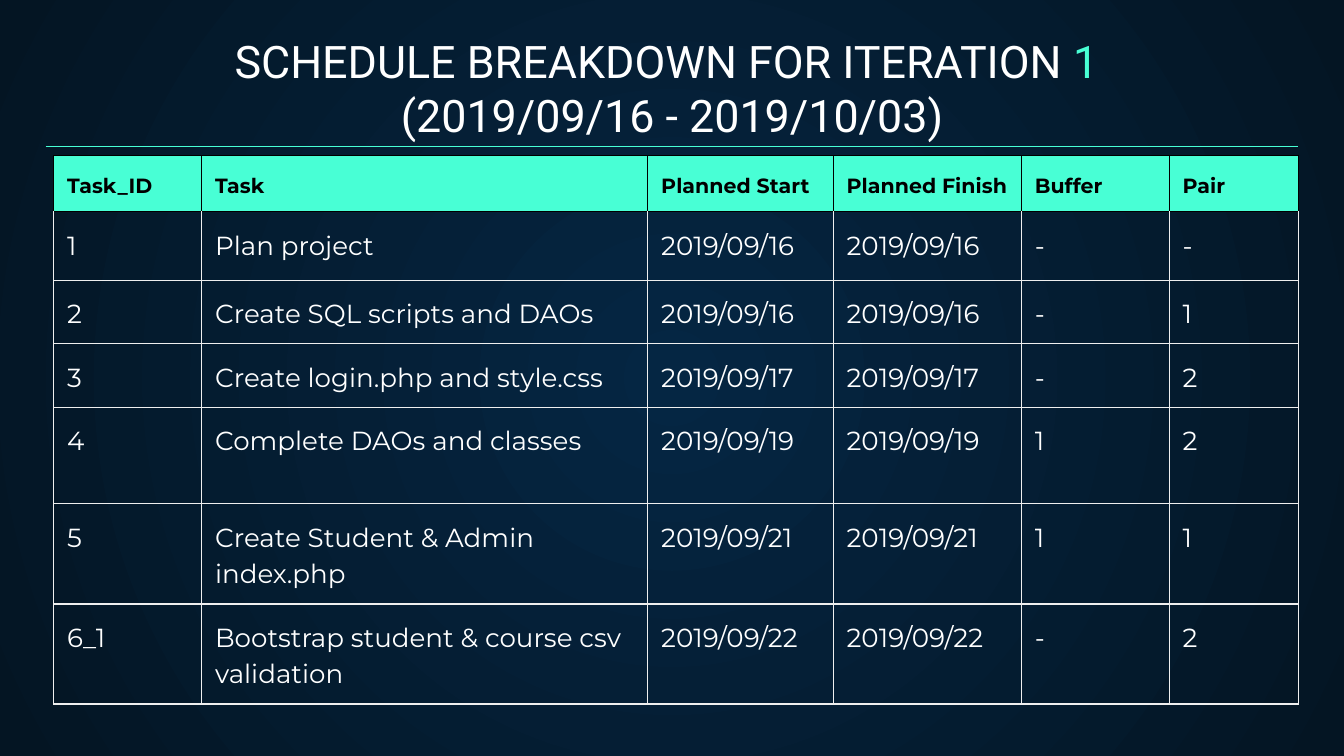
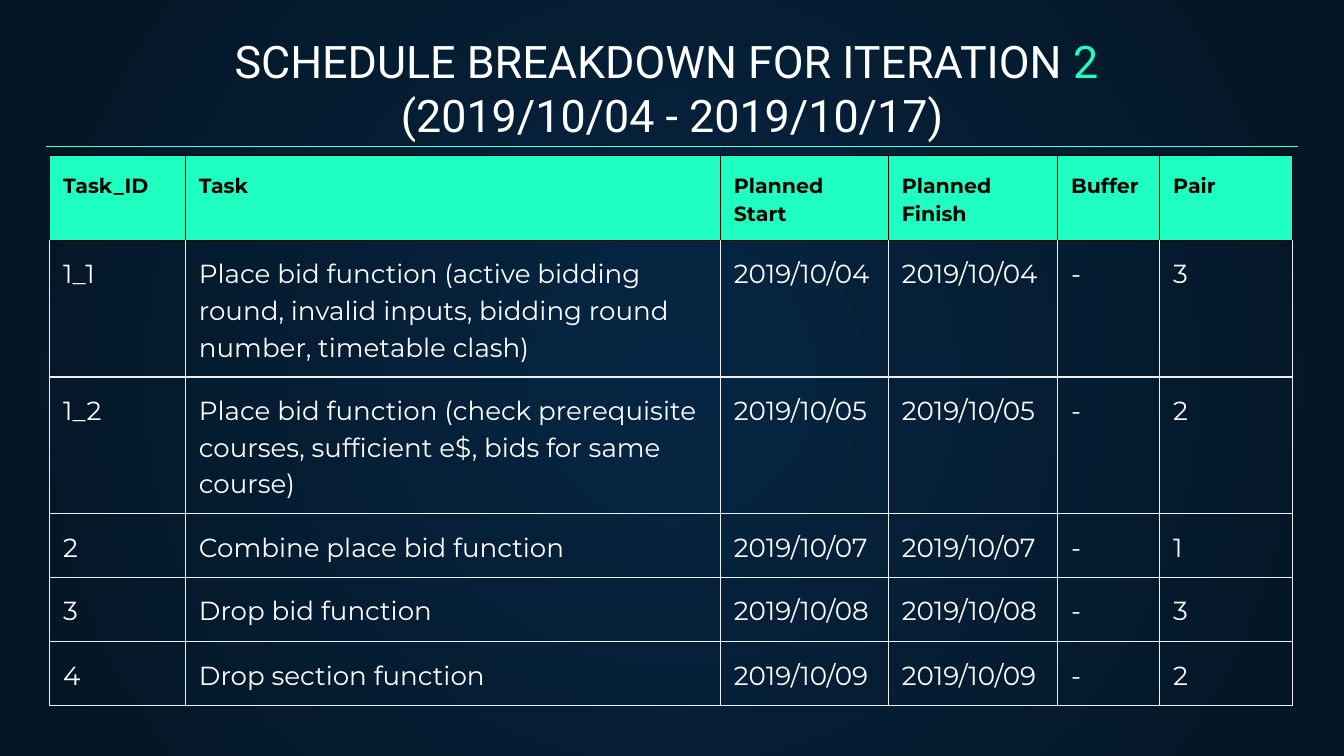
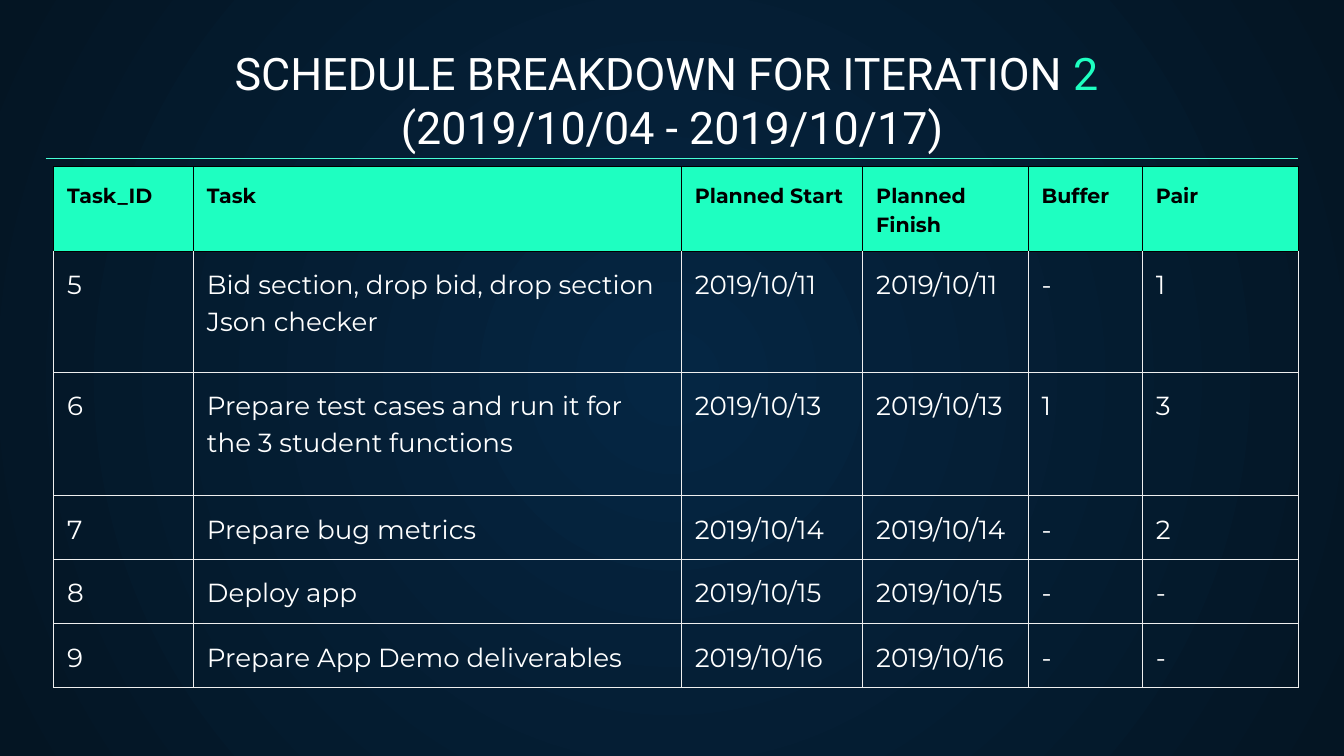
import pptx
import pptx.dml.color
import pptx.enum.shapes
import pptx.enum.text
import pptx.oxml
import pptx.oxml.ns
import pptx.util
import lxml.etree

Inches = pptx.util.Inches
Pt = pptx.util.Pt
RGBColor = pptx.dml.color.RGBColor
qn = pptx.oxml.ns.qn

WHITE = RGBColor(0xFF, 0xFF, 0xFF)
BLACK = RGBColor(0, 0, 0)
GRID = RGBColor(0xEF, 0xEF, 0xEF)
AQUA = RGBColor(0x48, 0xFF, 0xD5)
GREEN = RGBColor(0x1E, 0xFF, 0xC1)
NAVY = RGBColor(0x05, 0x26, 0x43)
DARK_NAVY = RGBColor(0x04, 0x15, 0x23)

HEADINGS = ["Task_ID", "Task", "Planned Start", "Planned Finish", "Buffer", "Pair"]

# Each task: id, task, planned day (start and finish), buffer, pair
SCHEDULES = [
    {
        "iteration": "1", "dates": "(2019/09/16 - 2019/10/03)", "accent": AQUA,
        "title_top": 0.49, "table_at": (0.4, 1.16), "table_height": 3.97,
        "columns": [1.1, 3.32, 1.38, 1.4, 1.1, 0.96],
        "rows": [0.39, 0.51, 0.45, 0.45, 0.72, 0.45, 0.45],
        "tasks": [
            ("1", "Plan project", "2019/09/16", "-", "-"),
            ("2", "Create SQL scripts and DAOs", "2019/09/16", "-", "1"),
            ("3", "Create login.php and style.css", "2019/09/17", "-", "2"),
            ("4", "Complete DAOs and classes", "2019/09/19", "1", "2"),
            ("5", "Create Student & Admin index.php", "2019/09/21", "1", "1"),
            ("6_1", "Bootstrap student & course csv validation", "2019/09/22", "-", "2"),
        ],
    },
    {
        "iteration": "2", "dates": "(2019/10/04 - 2019/10/17)", "accent": GREEN,
        "title_top": 0.49, "table_at": (0.37, 1.16), "table_height": 3.97,
        "columns": [1.01, 3.98, 1.25, 1.26, 0.76, 0.99],
        "rows": [0.46, 0.9, 0.92, 0.45, 0.48, 0.45],
        "tasks": [
            ("1_1", "Place bid function (active bidding round, invalid inputs, "
                    "bidding round number, timetable clash)", "2019/10/04", "-", "3"),
            ("1_2", "Place bid function (check prerequisite courses, "
                    "sufficient e$, bids for same course)", "2019/10/05", "-", "2"),
            ("2", "Combine place bid function", "2019/10/07", "-", "1"),
            ("3", "Drop bid function", "2019/10/08", "-", "3"),
            ("4", "Drop section function", "2019/10/09", "-", "2"),
        ],
    },
    {
        "iteration": "2", "dates": "(2019/10/04 - 2019/10/17)", "accent": GREEN,
        "title_top": 0.58, "table_at": (0.4, 1.24), "table_height": 3.81,
        "columns": [1.04, 3.63, 1.35, 1.23, 0.85, 1.16],
        "rows": [0.39, 0.9, 0.92, 0.45, 0.48, 0.45],
        "tasks": [
            ("5", "Bid section, drop bid, drop section Json checker", "2019/10/11", "-", "1"),
            ("6", "Prepare test cases and run it for the 3 student functions",
             "2019/10/13", "1", "3"),
            ("7", "Prepare bug metrics", "2019/10/14", "-", "2"),
            ("8", "Deploy app", "2019/10/15", "-", "-"),
            ("9", "Prepare App Demo deliverables", "2019/10/16", "-", "-"),
        ],
    },
]


def set_borders(cell, color, top_color):
    """Draw all four cell borders; they must precede the fill in the XML."""
    properties = cell._tc.get_or_add_tcPr()
    sides = [("lnL", color), ("lnR", color), ("lnT", top_color), ("lnB", color)]
    for position, (side, side_color) in enumerate(sides):
        border = pptx.oxml.parse_xml(
            f'<a:{side} {pptx.oxml.ns.nsdecls("a")} w="{Pt(0.75)}">'
            f'<a:solidFill><a:srgbClr val="{side_color}"/></a:solidFill></a:{side}>')
        properties.insert(position, border)


def style_font(font, name, size, color, bold=False):
    font.name = name
    font.size = Pt(size)
    font.color.rgb = color
    font.bold = bold


deck = pptx.Presentation()
deck.slide_width = Inches(10)
deck.slide_height = Inches(10) * 9 // 16

# The master carries the radial background for every slide
background = deck.slide_master.background.fill
background.gradient()
for stop, color in zip(background.gradient_stops, (NAVY, DARK_NAVY)):
    stop.color.rgb = color
linear = next(deck.slide_master.element.iter(qn("a:lin")))
radial = pptx.oxml.parse_xml(
    f'<a:path {pptx.oxml.ns.nsdecls("a")} path="circle">'
    '<a:fillToRect l="50000" t="50000" r="50000" b="50000"/></a:path>')
linear.getparent().replace(linear, radial)

title_only = deck.slide_layouts.get_by_name("Title Only")

for schedule in SCHEDULES:
    page = deck.slides.add_slide(title_only)

    title = page.shapes.title
    title.left, title.top = Inches(0.34), Inches(schedule["title_top"])
    title.width, title.height = Inches(9.32), Inches(0.66)
    frame = title.text_frame
    frame.word_wrap = True
    frame.auto_size = pptx.enum.text.MSO_AUTO_SIZE.NONE
    frame.vertical_anchor = pptx.enum.text.MSO_ANCHOR.BOTTOM
    frame.margin_left = frame.margin_right = Inches(0.1)
    frame.margin_top = frame.margin_bottom = Inches(0.1)
    para = frame.paragraphs[0]
    para.alignment = pptx.enum.text.PP_ALIGN.CENTER
    for text, color in [("SCHEDULE BREAKDOWN FOR ITERATION ", WHITE),
                        (schedule["iteration"] + " ", schedule["accent"]),
                        (schedule["dates"], WHITE)]:
        if text == schedule["dates"]:
            para.add_line_break()
        span = para.add_run()
        span.text = text
        style_font(span.font, "Roboto", 24, color)

    rule_top = Inches(schedule["title_top"] + 0.6)
    rule = page.shapes.add_connector(
        pptx.enum.shapes.MSO_CONNECTOR.STRAIGHT,
        Inches(0.34), rule_top, Inches(9.66), rule_top)
    rule.line.color.rgb = AQUA
    rule.line.width = Pt(0.75)
    lxml.etree.SubElement(rule._element.spPr, qn("a:effectLst"))

    left, top = schedule["table_at"]
    table_shape = page.shapes.add_table(
        len(schedule["rows"]), len(HEADINGS), Inches(left), Inches(top),
        Inches(9.26), Inches(schedule["table_height"]))
    table = table_shape.table
    table.first_row = table.horz_banding = False
    for column, width in zip(table.columns, schedule["columns"]):
        column.width = Inches(width)
    for row, height in zip(table.rows, schedule["rows"]):
        row.height = Inches(height)
    table_shape.width = Inches(9.26)
    table_shape.height = Inches(schedule["table_height"])

    lines = [HEADINGS] + [(number, task, day, day, buffer, pair)
                          for number, task, day, buffer, pair in schedule["tasks"]]
    for row_index, line in enumerate(lines):
        is_heading = row_index == 0
        for column_index, text in enumerate(line):
            cell = table.cell(row_index, column_index)
            cell.margin_left = cell.margin_right = Inches(0.1)
            cell.margin_top = cell.margin_bottom = Inches(0.1)
            para = cell.text_frame.paragraphs[0]
            para.text = text
            para.line_spacing = 1.15
            font = para.runs[0].font
            if is_heading:
                cell.fill.solid()
                cell.fill.fore_color.rgb = schedule["accent"]
                style_font(font, "Montserrat", 11, BLACK, bold=True)
            else:
                cell.fill.background()
                style_font(font, "Montserrat", 14, WHITE)
            set_borders(cell, BLACK if is_heading else GRID,
                        BLACK if row_index < 2 else GRID)

deck.save("out.pptx")
